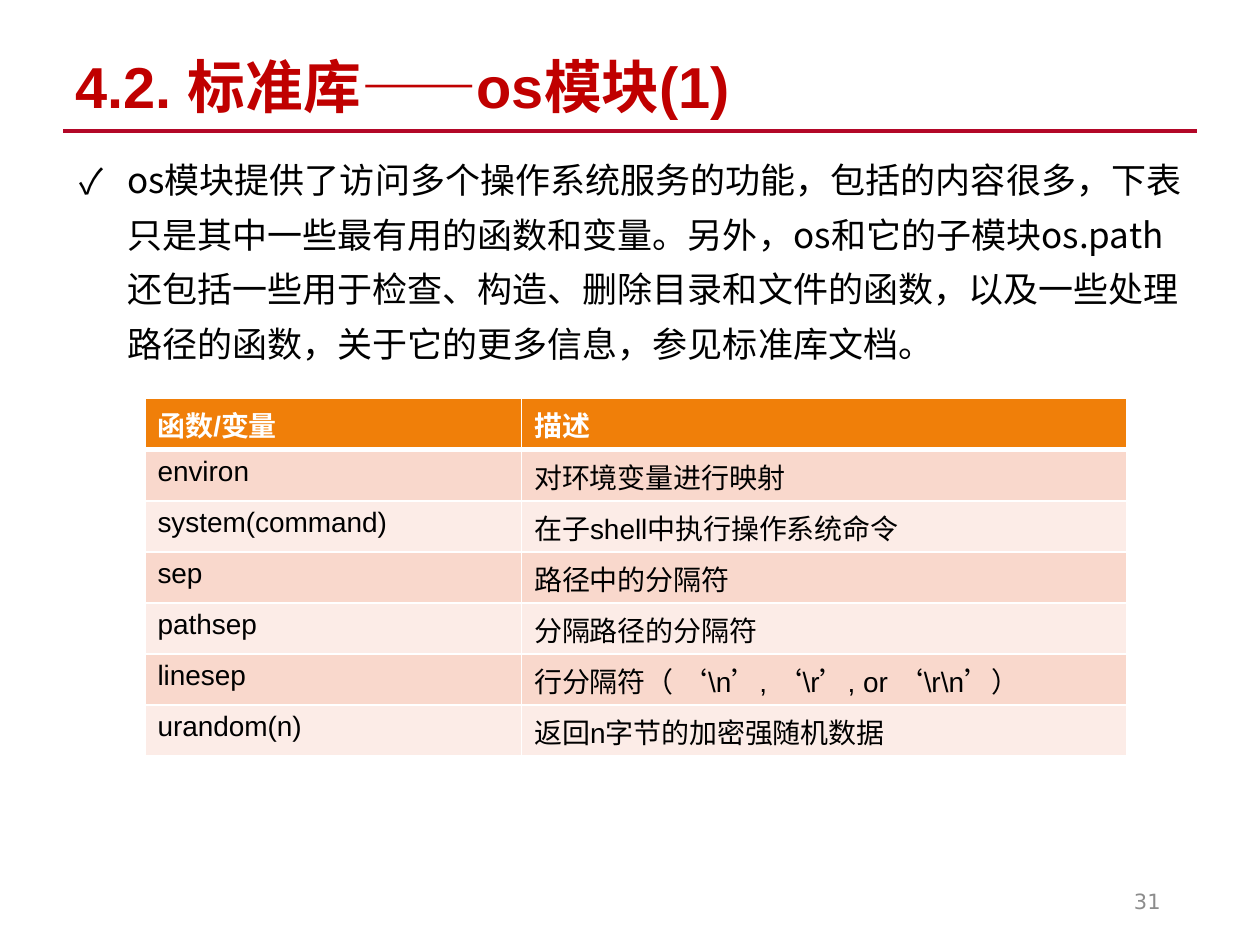
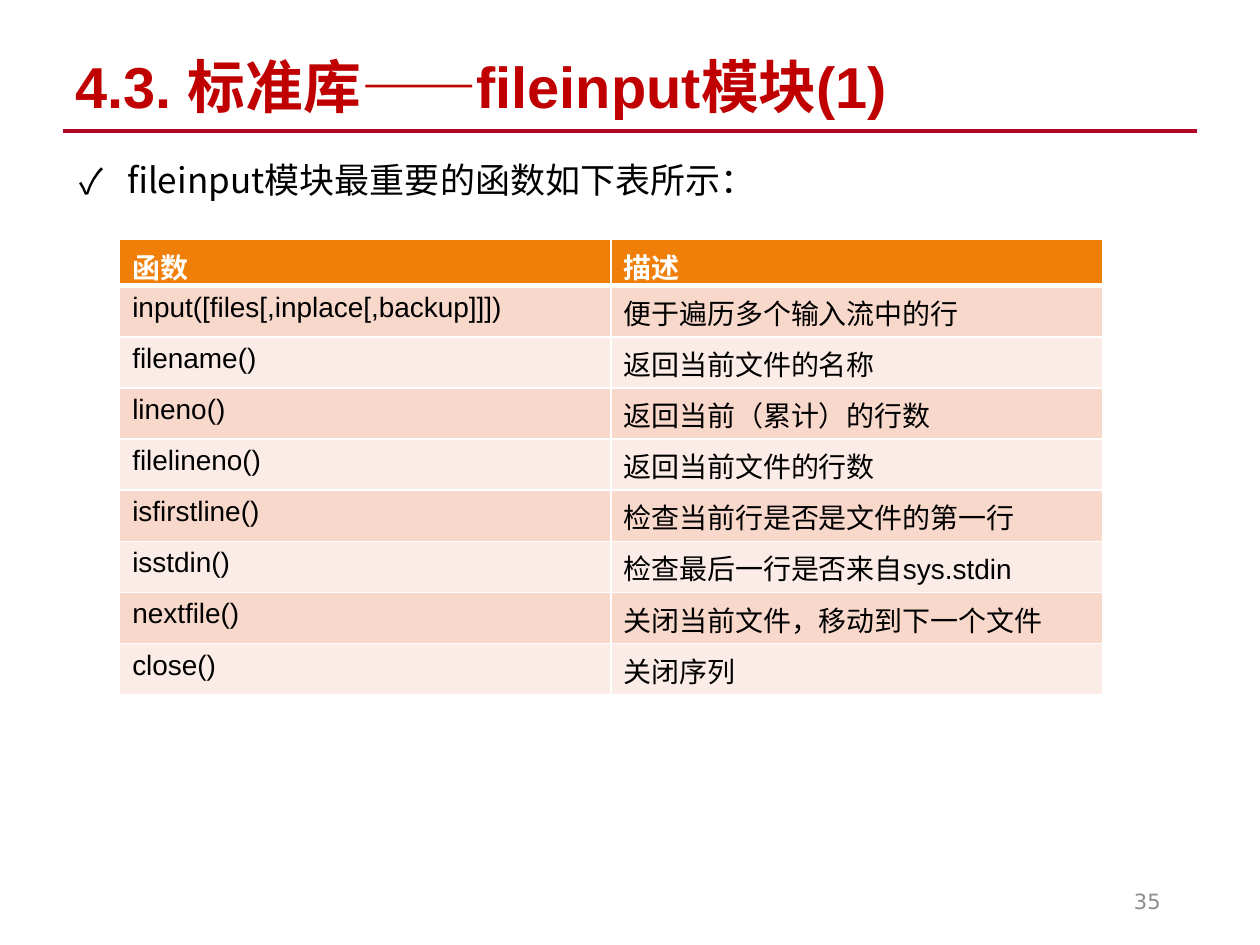
"""Build two slides that list the functions of Python standard library modules."""
import dataclasses

import lxml.etree
import pptx
import pptx.dml.color
import pptx.enum.shapes
import pptx.enum.text
import pptx.oxml.ns
import pptx.util

Inches = pptx.util.Inches
Pt = pptx.util.Pt
ALIGN = pptx.enum.text.PP_ALIGN
ANCHOR = pptx.enum.text.MSO_ANCHOR


@dataclasses.dataclass(frozen=True)
class Theme:
    title: str = "C00000"
    rule: str = "B30728"
    text: str = "000000"
    page: str = "8C8C8C"
    header_text: str = "FFFFFF"
    header: str = "F07F09"
    bands: tuple = ("F9D8CC", "FCECE7")
    border: str = "FFFFFF"
    latin: str = "Arial"
    chinese: str = "Noto Sans CJK SC"
    page_font: str = "DejaVu Sans"
    title_size: int = 33
    body_size: int = 20
    table_size: int = 16
    page_size: int = 12


THEME = Theme()

SLIDES = [
    {
        "title": "4.2. 标准库——os模块(1)",
        "body": "os模块提供了访问多个操作系统服务的功能，包括的内容很多，下表只是其中一些最有用的函数和变量。"
                "另外，os和它的子模块os.path还包括一些用于检查、构造、删除目录和文件的函数，"
                "以及一些处理路径的函数，关于它的更多信息，参见标准库文档。",
        "body_height": 1.81,
        "page": "31",
        "table_at": (1.15, 3.16),
        "columns": (2.99, 4.8),
        "table_height": 2.84,
        "header_height": 0.41,
        "rows": [
            ("函数/变量", "描述"),
            ("environ", "对环境变量进行映射"),
            ("system(command)", "在子shell中执行操作系统命令"),
            ("sep", "路径中的分隔符"),
            ("pathsep", "分隔路径的分隔符"),
            ("linesep", "行分隔符（ ‘\\n’, ‘\\r’, or ‘\\r\\n’）"),
            ("urandom(n)", "返回n字节的加密强随机数据"),
        ],
    },
    {
        "title": "4.3. 标准库——fileinput模块(1)",
        "body": "fileinput模块最重要的函数如下表所示：",
        "body_height": 0.5,
        "page": "35",
        "table_at": (0.95, 1.9),
        "columns": (3.9, 3.9),
        "table_height": 3.61,
        "header_height": 0.36,
        "rows": [
            ("函数", "描述"),
            ("input([files[,inplace[,backup]]])", "便于遍历多个输入流中的行"),
            ("filename()", "返回当前文件的名称"),
            ("lineno()", "返回当前（累计）的行数"),
            ("filelineno()", "返回当前文件的行数"),
            ("isfirstline()", "检查当前行是否是文件的第一行"),
            ("isstdin()", "检查最后一行是否来自sys.stdin"),
            ("nextfile()", "关闭当前文件，移动到下一个文件"),
            ("close()", "关闭序列"),
        ],
    },
]


def rgb(color):
    return pptx.dml.color.RGBColor.from_string(color)


def add_element(parent, tag, **attributes):
    element = lxml.etree.SubElement(parent, pptx.oxml.ns.qn(tag))
    for name, value in attributes.items():
        element.set(name, str(value))
    return element


def write_text(frame, text, *, size, color, font=THEME.latin, bold=False,
               align=ALIGN.LEFT, anchor=ANCHOR.TOP, spacing=None, bullet=None):
    frame.word_wrap = True
    frame.vertical_anchor = anchor
    paragraph = frame.paragraphs[0]
    paragraph.alignment = align
    if spacing:
        paragraph.line_spacing = spacing
    if bullet:
        properties = paragraph._p.get_or_add_pPr()
        properties.set("marL", str(Inches(0.38)))
        properties.set("indent", str(-Inches(0.38)))
        add_element(properties, "a:buFont", typeface=font)
        add_element(properties, "a:buChar", char=bullet)
    run = paragraph.add_run()
    run.text = text
    run.font.size = Pt(size)
    run.font.bold = bold
    run.font.color.rgb = rgb(color)
    run.font.name = font
    add_element(run._r.get_or_add_rPr(), "a:ea", typeface=THEME.chinese)


def add_text_box(slide, text, left, top, width, height, **text_format):
    box = slide.shapes.add_textbox(Inches(left), Inches(top), Inches(width), Inches(height))
    write_text(box.text_frame, text, **text_format)


def add_title(slide, text):
    title = slide.shapes.title
    title.left, title.top = Inches(0.5), Inches(0.4)
    title.width, title.height = Inches(9), Inches(0.62)
    title.text_frame.auto_size = pptx.enum.text.MSO_AUTO_SIZE.NONE
    write_text(title.text_frame, text, size=THEME.title_size, color=THEME.title,
               bold=True, anchor=ANCHOR.MIDDLE, spacing=0.9)


def add_rule(slide):
    rule = slide.shapes.add_connector(
        pptx.enum.shapes.MSO_CONNECTOR.STRAIGHT,
        Inches(0.5), Inches(1.04), Inches(9.5), Inches(1.04))
    rule.line.color.rgb = rgb(THEME.rule)
    rule.line.width = Pt(2)
    add_element(rule._element.spPr, "a:effectLst")


def set_borders(cell, **widths):
    properties = cell._tc.get_or_add_tcPr()
    for side in "LRTB":
        line = add_element(properties, f"a:ln{side}", w=Pt(widths.get(side, 1)))
        add_element(add_element(line, "a:solidFill"), "a:srgbClr", val=THEME.border)


def add_function_table(slide, content):
    rows, columns = content["rows"], content["columns"]
    left, top = content["table_at"]
    table = slide.shapes.add_table(
        len(rows), len(columns), Inches(left), Inches(top),
        Inches(sum(columns)), Inches(content["table_height"])).table
    for column, width in zip(table.columns, columns):
        column.width = Inches(width)
    row_height = (content["table_height"] - content["header_height"]) / (len(rows) - 1)
    for row_index, texts in enumerate(rows):
        is_header = row_index == 0
        table.rows[row_index].height = Inches(content["header_height"] if is_header else row_height)
        for column_index, text in enumerate(texts):
            cell = table.cell(row_index, column_index)
            set_borders(cell, T=3 if row_index == 1 else 1, B=3 if is_header else 1)
            cell.fill.solid()
            cell.fill.fore_color.rgb = rgb(THEME.header if is_header else THEME.bands[(row_index - 1) % 2])
            write_text(cell.text_frame, text, size=THEME.table_size, bold=is_header,
                       color=THEME.header_text if is_header else THEME.text)


def build_slide(presentation, content):
    slide = presentation.slides.add_slide(presentation.slide_layouts.get_by_name("Title Only"))
    add_rule(slide)
    add_title(slide, content["title"])
    add_text_box(slide, content["body"], 0.53, 1.11, 9.01, content["body_height"],
                 size=THEME.body_size, color=THEME.text, font=THEME.chinese,
                 spacing=1.3, bullet="✓")
    add_text_box(slide, content["page"], 7.06, 6.95, 2.25, 0.4,
                 size=THEME.page_size, color=THEME.page, font=THEME.page_font,
                 align=ALIGN.RIGHT, anchor=ANCHOR.MIDDLE)
    add_function_table(slide, content)


def main():
    presentation = pptx.Presentation()
    presentation.slide_width, presentation.slide_height = Inches(10), Inches(7.5)
    for content in SLIDES:
        build_slide(presentation, content)
    presentation.save("out.pptx")


if __name__ == "__main__":
    main()
